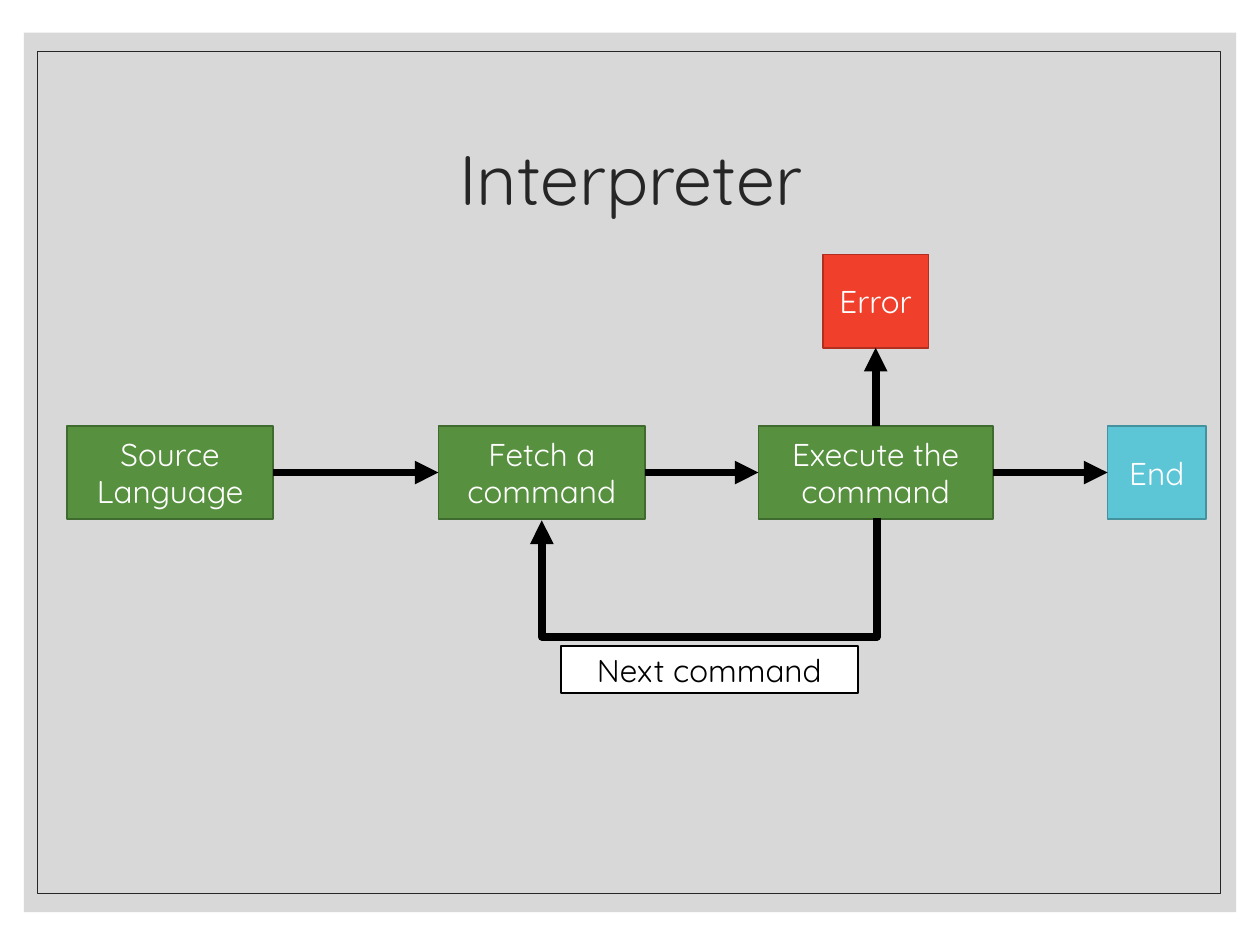
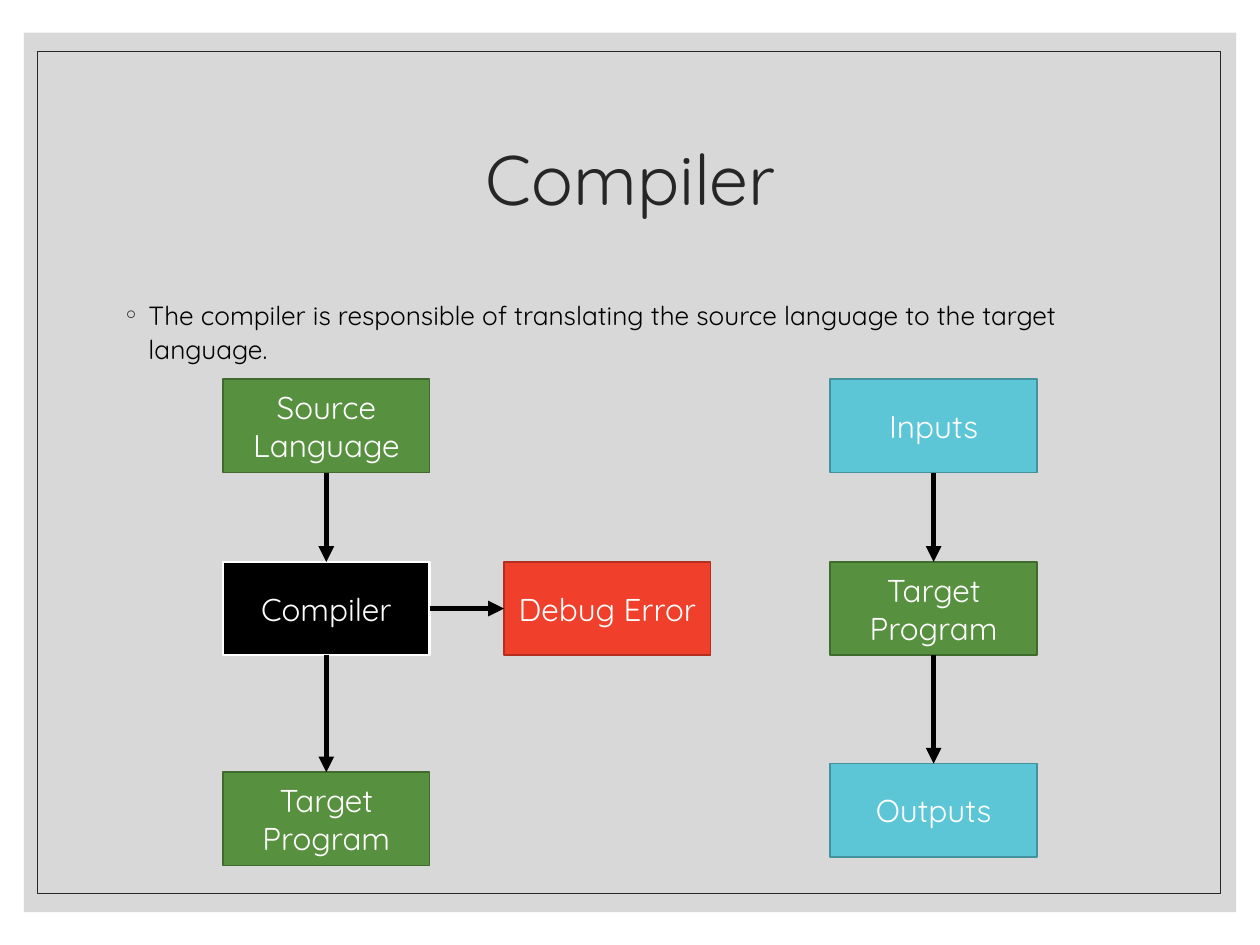
from dataclasses import dataclass

from lxml.etree import SubElement
from pptx import Presentation
from pptx.dml.color import RGBColor
from pptx.enum.shapes import MSO_CONNECTOR as Link, MSO_SHAPE as Preset
from pptx.enum.text import MSO_ANCHOR as Anchor, PP_ALIGN as Align
from pptx.oxml.ns import qn
from pptx.shapes.autoshape import Shape
from pptx.shapes.connector import Connector
from pptx.slide import Slide
from pptx.util import Inches, Pt

FONT = "Quicksand"
COLORS = {
    "panel": "BFBFBF", "ink": "262626", "black": "000000", "white": "FFFFFF",
    "green": "57903F", "green_edge": "406B2F",
    "red": "F03F2B", "red_edge": "B22F20",
    "cyan": "5CC6D6", "cyan_edge": "44929E",
}
BOX_WIDTH, BOX_HEIGHT = 1.64, 0.74
TOP, LEFT, BOTTOM, RIGHT = range(4)  # connection sites of a rectangle


@dataclass(frozen=True)
class Look:
    fill: str
    edge: str
    text: str = "white"
    edge_width: float = 1


@dataclass(frozen=True)
class Box:
    text: str
    left: float
    top: float
    look: Look
    width: float = BOX_WIDTH
    height: float = BOX_HEIGHT


@dataclass(frozen=True)
class Arrow:
    start: str
    start_site: int
    end: str
    end_site: int


STEP = Look("green", "green_edge")
FAILURE = Look("red", "red_edge")
DATA = Look("cyan", "cyan_edge")
TOOL = Look("black", "white", edge_width=1.5)
LABEL = Look("white", "black", text="black")


def rgb(name: str) -> RGBColor:
    return RGBColor.from_string(COLORS[name])


def add_rect(slide: Slide, left: float, top: float, width: float, height: float) -> Shape:
    rect = slide.shapes.add_shape(
        Preset.RECTANGLE, Inches(left), Inches(top), Inches(width), Inches(height))
    rect.shadow.inherit = False
    return rect


def write(shape: Shape, text: str, size: float, color: str, align: Align, anchor: Anchor):
    frame = shape.text_frame
    frame.word_wrap = True
    frame.vertical_anchor = anchor
    paragraph = frame.paragraphs[0]
    paragraph.text = text
    paragraph.alignment = align
    paragraph.font.name = FONT
    paragraph.font.size = Pt(size)
    paragraph.font.color.rgb = rgb(color)
    return paragraph


def add_text(slide: Slide, left: float, top: float, width: float, height: float) -> Shape:
    return slide.shapes.add_textbox(Inches(left), Inches(top), Inches(width), Inches(height))


def start_slide(deck: Presentation, title: str) -> Slide:
    slide = deck.slides.add_slide(deck.slide_layouts[6])
    # Translucent panel with a thin inner frame
    panel = add_rect(slide, 0.19, 0.26, 9.62, 6.98)
    panel.fill.solid()
    panel.fill.fore_color.rgb = rgb("panel")
    panel.line.fill.background()
    tint = panel.fill._xPr.find(qn("a:solidFill"))[0]
    SubElement(tint, qn("a:alpha"), val="60000")
    border = add_rect(slide, 0.3, 0.41, 9.39, 6.68)
    border.fill.background()
    border.line.color.rgb = rgb("ink")
    border.line.width = Pt(0.5)
    # Title
    heading = write(add_text(slide, 0.88, 0.7, 8.25, 1.5), title, 40, "ink",
                    Align.CENTER, Anchor.MIDDLE)
    heading.line_spacing = 0.9
    return slide


def add_bullet(slide: Slide, text: str) -> None:
    bullet = write(add_text(slide, 0.88, 2.3, 8.25, 4.21), text, 15, "black",
                   Align.LEFT, Anchor.TOP)
    bullet.line_spacing = 1.1
    bullet.space_before = Pt(9)
    props = bullet._p.get_or_add_pPr()
    props.set("marL", str(Inches(0.2)))
    props.set("indent", str(Inches(-0.2)))
    # Bullet marks go ahead of the default run properties
    marks = [SubElement(props, qn("a:buClr")), SubElement(props, qn("a:buFont"), typeface=FONT),
             SubElement(props, qn("a:buChar"), char="◦")]
    SubElement(marks[0], qn("a:srgbClr"), val=COLORS["ink"])
    defaults = props.find(qn("a:defRPr"))
    if defaults is not None:
        props.append(defaults)


def add_box(slide: Slide, box: Box) -> Shape:
    shape = add_rect(slide, box.left, box.top, box.width, box.height)
    shape.fill.solid()
    shape.fill.fore_color.rgb = rgb(box.look.fill)
    shape.line.color.rgb = rgb(box.look.edge)
    shape.line.width = Pt(box.look.edge_width)
    write(shape, box.text, 18, box.look.text, Align.CENTER, Anchor.MIDDLE)
    return shape


def style_arrow(arrow: Connector, weight: float) -> None:
    arrow.line.color.rgb = rgb("black")
    arrow.line.width = Pt(weight)
    SubElement(arrow.line._get_or_add_ln(), qn("a:tailEnd"), type="triangle")
    SubElement(arrow._element.spPr, qn("a:effectLst"))


def add_loop(slide: Slide, start: tuple[float, float], end: tuple[float, float],
             lowest: float, weight: float) -> None:
    """Elbow arrow that leaves downward, runs left at `lowest`, and comes back up."""
    (x1, y1), (x2, y2) = start, end
    run, drop = x1 - x2, y2 - y1
    mid_x, mid_y = (x1 + x2) / 2, (y1 + y2) / 2
    loop = slide.shapes.add_connector(
        Link.ELBOW, Inches(mid_x - drop / 2), Inches(mid_y - run / 2),
        Inches(mid_x + drop / 2), Inches(mid_y + run / 2))
    props = loop._element.spPr
    props.find(qn("a:xfrm")).set("rot", str(90 * 60000))
    bend = round((lowest - y1) / drop * 100000)
    adjustments = props.find(qn("a:prstGeom")).find(qn("a:avLst"))
    SubElement(adjustments, qn("a:gd"), name="adj1", fmla=f"val {bend}")
    style_arrow(loop, weight)


def draw_flow(slide: Slide, boxes: dict[str, Box], arrows: list[Arrow], weight: float) -> None:
    shapes = {key: add_box(slide, box) for key, box in boxes.items()}
    for arrow in arrows:
        link = slide.shapes.add_connector(Link.STRAIGHT, 0, 0, 0, 0)
        link.begin_connect(shapes[arrow.start], arrow.start_site)
        link.end_connect(shapes[arrow.end], arrow.end_site)
        style_arrow(link, weight)


def build_interpreter(deck: Presentation) -> None:
    slide = start_slide(deck, "Interpreter")
    row = 3.38
    boxes = {
        "source": Box("Source Language", 0.53, row, STEP),
        "fetch": Box("Fetch a command", 3.48, row, STEP),
        "execute": Box("Execute the command", 6.02, row, STEP, width=1.86),
        "error": Box("Error", 6.53, 2.02, FAILURE, width=0.84),
        "end": Box("End", 8.79, row, DATA, width=0.78),
        "next": Box("Next command", 4.45, 5.13, LABEL, width=2.36, height=0.37),
    }
    arrows = [
        Arrow("source", RIGHT, "fetch", LEFT),
        Arrow("fetch", RIGHT, "execute", LEFT),
        Arrow("execute", TOP, "error", BOTTOM),
        Arrow("execute", RIGHT, "end", LEFT),
    ]
    draw_flow(slide, boxes, arrows, weight=4.5)
    add_loop(slide, (6.96, 4.11), (4.3, 4.13), lowest=5.05, weight=4.5)


def build_compiler(deck: Presentation) -> None:
    slide = start_slide(deck, "Compiler")
    add_bullet(slide, "The compiler is responsible of translating the source language "
                      "to the target language.")
    translate, run = 1.77, 6.59  # left edges of the two columns
    first, second = 3.01, 4.46  # tops of the shared rows
    boxes = {
        "source": Box("Source Language", translate, first, STEP),
        "compiler": Box("Compiler", translate, second, TOOL),
        "target": Box("Target Program", translate, 6.13, STEP),
        "debug": Box("Debug Error", 4, second, FAILURE),
        "program": Box("Target Program", run, second, STEP),
        "inputs": Box("Inputs", run, first, DATA),
        "outputs": Box("Outputs", run, 6.06, DATA),
    }
    arrows = [
        Arrow("source", BOTTOM, "compiler", TOP),
        Arrow("compiler", RIGHT, "debug", LEFT),
        Arrow("compiler", BOTTOM, "target", TOP),
        Arrow("inputs", BOTTOM, "program", TOP),
        Arrow("program", BOTTOM, "outputs", TOP),
    ]
    draw_flow(slide, boxes, arrows, weight=3)


def main() -> None:
    deck = Presentation()
    deck.slide_width, deck.slide_height = Inches(10), Inches(7.5)
    build_interpreter(deck)
    build_compiler(deck)
    deck.save("out.pptx")


if __name__ == "__main__":
    main()
